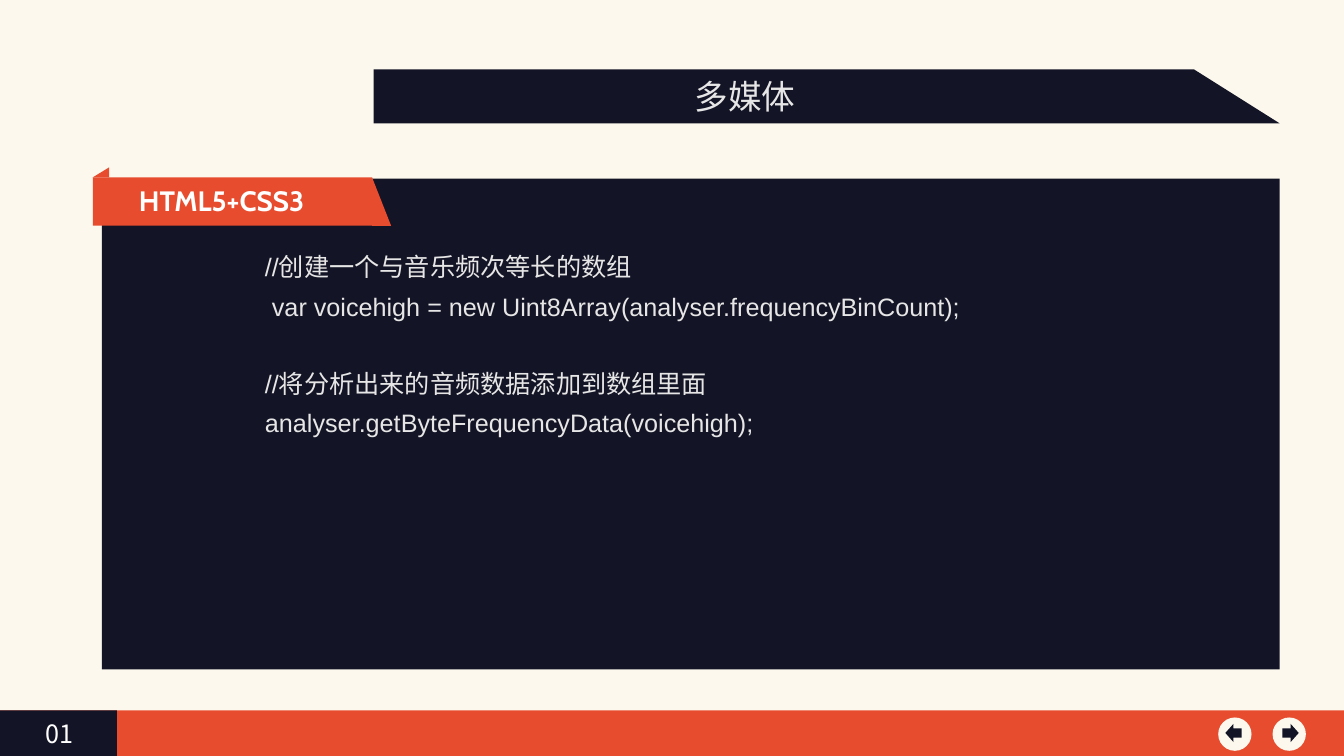
"""Build the multimedia code slide."""
from dataclasses import dataclass, field
from typing import Any

from lxml.etree import SubElement
from pptx import Presentation
from pptx.dml.color import RGBColor
from pptx.enum.shapes import MSO_SHAPE
from pptx.enum.text import PP_ALIGN
from pptx.oxml.ns import qn
from pptx.slide import Slide
from pptx.util import Cm, Pt


@dataclass(frozen=True)
class Theme:
    """Hold the colours, fonts and type sizes."""
    cream: RGBColor = RGBColor.from_string("FCF8ED")
    navy: RGBColor = RGBColor.from_string("131426")
    coral: RGBColor = RGBColor.from_string("E74C2E")
    pale: RGBColor = RGBColor.from_string("E7E6E6")
    white: RGBColor = RGBColor.from_string("FFFFFF")
    han: str = "Noto Sans CJK SC"
    label: str = "Cabin"
    code: str = "Arial"
    head: Pt = Pt(24)
    tag: Pt = Pt(20)
    body: Pt = Pt(18)


@dataclass(frozen=True)
class Box:
    """Place a frame, in centimetres."""
    left: float
    top: float
    width: float
    height: float

    def frame(self) -> tuple[Cm, Cm, Cm, Cm]:
        """Return the frame as lengths."""
        return Cm(self.left), Cm(self.top), Cm(self.width), Cm(self.height)


@dataclass(frozen=True)
class Block:
    """Describe a filled shape."""
    kind: MSO_SHAPE
    box: Box
    fill: RGBColor
    flip: bool = False


@dataclass(frozen=True)
class Line:
    """Describe a paragraph."""
    text: str
    form: dict[str, Any] = field(default_factory=dict)


@dataclass(frozen=True)
class Label:
    """Describe a text box."""
    box: Box
    lines: list[Line]
    font: dict[str, Any]
    color: RGBColor
    frame: dict[str, Any] = field(default_factory=dict)


THEME = Theme()
RECT, WEDGE, DISC = MSO_SHAPE.RECTANGLE, MSO_SHAPE.RIGHT_TRIANGLE, MSO_SHAPE.OVAL

BLOCKS = [
    Block(RECT, Box(0, 17.9, 33.88, 1.15), THEME.coral),
    Block(RECT, Box(0, 17.9, 2.95, 1.15), THEME.navy),
    Block(RECT, Box(2.57, 4.5, 29.69, 12.37), THEME.navy),
    Block(DISC, Box(32.08, 18.08, 0.84, 0.84), THEME.cream),
    Block(MSO_SHAPE.RIGHT_ARROW, Box(32.33, 18.24, 0.41, 0.46), THEME.navy),
    Block(DISC, Box(30.71, 18.08, 0.84, 0.84), THEME.cream),
    Block(MSO_SHAPE.LEFT_ARROW, Box(30.89, 18.24, 0.41, 0.46), THEME.navy),
    Block(RECT, Box(9.42, 1.75, 20.68, 1.36), THEME.navy),
    Block(WEDGE, Box(30.1, 1.75, 2.16, 1.36), THEME.navy),
    Block(RECT, Box(2.34, 4.47, 7.04, 1.22), THEME.coral),
    Block(WEDGE, Box(9.38, 4.47, 0.48, 1.22), THEME.coral),
    Block(WEDGE, Box(2.34, 4.22, 0.41, 0.25), THEME.coral, True),
]

CODE = {"line_spacing": 1.3}
LABELS = [
    Label(Box(9.42, 1.8, 18.9, 1.27),
          [Line("多媒体", {"alignment": PP_ALIGN.CENTER})],
          {"name": THEME.han, "size": THEME.head}, THEME.pale,
          {"margin_right": Cm(0.43)}),
    Label(Box(0.46, 17.98, 2.18, 1.02), [Line("01")],
          {"name": THEME.han, "size": THEME.body}, THEME.white,
          {"margin_left": Cm(0.68)}),
    Label(Box(2.92, 4.5, 5.89, 1.12), [Line("HTML5+CSS3")],
          {"name": THEME.label, "size": THEME.tag, "bold": True}, THEME.white,
          {"margin_left": Cm(0.58)}),
    Label(Box(2.62, 5.99, 29.67, 5.21),
          [Line("//创建一个与音乐频次等长的数组", CODE),
           Line(" var voicehigh = new Uint8Array(analyser.frequencyBinCount);", CODE),
           Line("//将分析出来的音频数据添加到数组里面", CODE | {"space_before": Pt(27)}),
           Line("analyser.getByteFrequencyData(voicehigh);", CODE)],
          {"name": THEME.code, "size": THEME.body}, THEME.pale,
          {"margin_left": Cm(4.06)}),
]


def style(target: Any, form: dict[str, Any]) -> None:
    """Set each format value on the target."""
    for name, value in form.items():
        setattr(target, name, value)


def draw_block(slide: Slide, block: Block) -> None:
    """Draw a filled shape without line or shadow."""
    shape = slide.shapes.add_shape(block.kind, *block.box.frame())
    shape.shadow.inherit = False
    shape.fill.solid()
    shape.fill.fore_color.rgb = block.fill
    shape.line.fill.background()
    if block.flip:
        shape._element.spPr.find(qn("a:xfrm")).set("flipH", "1")


def draw_label(slide: Slide, label: Label) -> None:
    """Draw a text box with its paragraphs."""
    frame = slide.shapes.add_textbox(*label.box.frame()).text_frame
    style(frame, {"word_wrap": True} | label.frame)
    for index, line in enumerate(label.lines):
        para = frame.add_paragraph() if index else frame.paragraphs[0]
        style(para, line.form)
        run = para.add_run()
        run.text = line.text
        style(run.font, label.font)
        run.font.color.rgb = label.color
        SubElement(run._r.get_or_add_rPr(), qn("a:ea"), typeface=THEME.han)


def main() -> None:
    """Build and save the deck."""
    deck = Presentation()
    style(deck, {"slide_width": Cm(33.88), "slide_height": Cm(19.05)})
    slide = deck.slides.add_slide(deck.slide_layouts[6])
    slide.background.fill.solid()
    slide.background.fill.fore_color.rgb = THEME.cream
    for block in BLOCKS:
        draw_block(slide, block)
    for label in LABELS:
        draw_label(slide, label)
    deck.save("out.pptx")


if __name__ == "__main__":
    main()
